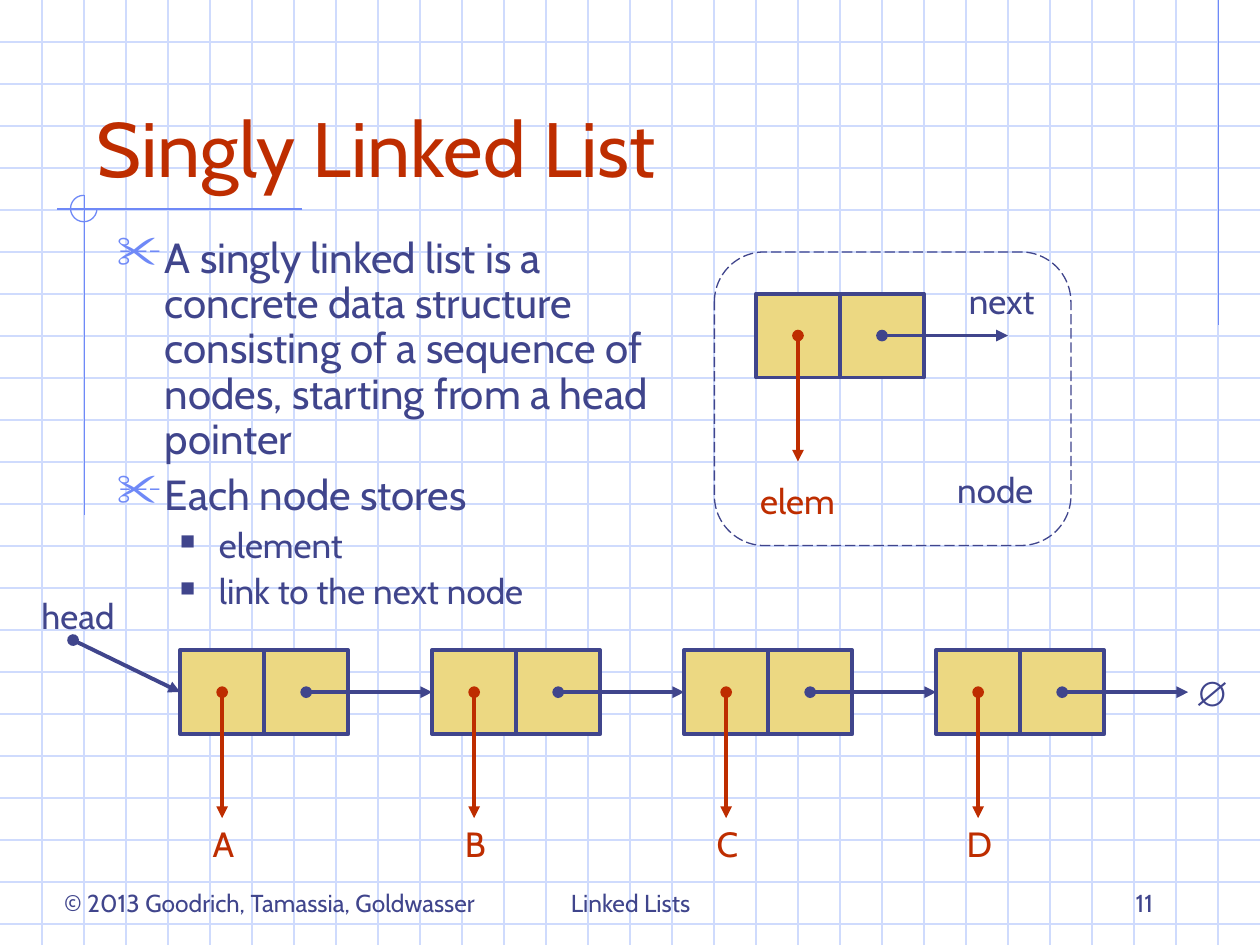
from dataclasses import dataclass
from lxml.etree import SubElement
from pptx import Presentation
from pptx.dml.color import RGBColor
from pptx.enum.dml import MSO_LINE
from pptx.enum.shapes import MSO_CONNECTOR, MSO_SHAPE
from pptx.enum.text import MSO_ANCHOR, PP_ALIGN
from pptx.oxml.ns import qn
from pptx.util import Inches, Pt


@dataclass(frozen=True)
class Theme:
    ink: str = "40458C"
    red: str = "BE2D00"
    gold: str = "ECD882"
    blue: str = "6F89F7"
    grid: str = "CFDBFD"
    font: str = "Cabin"
    sign: str = "Arial"
    title: int = 44
    body: int = 24
    label: int = 20
    foot: int = 14
    thin: float = 0.75
    bold: float = 2.25


THEME = Theme()
CELL = 2 / 3
HALF = CELL / 2


def tint(name):
    return RGBColor.from_string(name)


def style(para, size, color, font=THEME.font, bold=None):
    para.font.size = Pt(size)
    para.font.name = font
    para.font.color.rgb = tint(color)
    para.font.bold = bold


def add_line(slide, start, end, color, width=THEME.thin):
    line = slide.shapes.add_connector(
        MSO_CONNECTOR.STRAIGHT, *(Inches(v) for v in (*start, *end)))
    line.line.color.rgb = tint(color)
    line.line.width = Pt(width)
    SubElement(line.element.spPr, qn("a:effectLst"))
    return line


def add_arrow(slide, start, end, color, goal=None):
    """Dot at the start, arrowhead at the end; goal is a cell to join on its left."""
    line = add_line(slide, start, end, color, THEME.bold)
    stroke = line.element.spPr.find(qn("a:ln"))
    SubElement(stroke, qn("a:headEnd"), type="oval")
    SubElement(stroke, qn("a:tailEnd"), type="triangle")
    if goal is not None:
        line.end_connect(goal, 1)


def add_shape(slide, kind, box, color, width, fill=None):
    shape = slide.shapes.add_shape(kind, *(Inches(v) for v in box))
    shape.shadow.inherit = False
    if fill:
        shape.fill.solid()
        shape.fill.fore_color.rgb = tint(fill)
    else:
        shape.fill.background()
    shape.line.color.rgb = tint(color)
    shape.line.width = Pt(width)
    return shape


def add_text(slide, box, text, size, color, align=PP_ALIGN.CENTER,
             anchor=MSO_ANCHOR.TOP, wrap=False, font=THEME.font, bold=None):
    frame = slide.shapes.add_textbox(*(Inches(v) for v in box)).text_frame
    frame.word_wrap = wrap
    frame.vertical_anchor = anchor
    para = frame.paragraphs[0]
    para.text = text
    para.alignment = align
    style(para, size, color, font, bold)


def add_label(slide, mid, top, text, color=THEME.ink, **extra):
    add_text(slide, (mid - 0.42, top, 0.84, 0.44), text, THEME.label, color, **extra)


def add_bullet(para, mark, color, scale, left, hang):
    props = para._p.get_or_add_pPr()
    props.set("marL", str(Inches(left)))
    props.set("indent", str(-Inches(hang)))
    SubElement(SubElement(props, qn("a:buClr")), qn("a:srgbClr"), val=color)
    SubElement(props, qn("a:buSzPct"), val=str(scale * 1000))
    SubElement(props, qn("a:buChar"), char=mark)


def add_body(slide, box, items):
    frame = slide.shapes.add_textbox(*(Inches(v) for v in box)).text_frame
    frame.word_wrap = True
    for i, (level, text) in enumerate(items):
        para = frame.add_paragraph() if i else frame.paragraphs[0]
        para.text = text
        para.level = level
        para.line_spacing = 0.9
        para.space_before = Pt(6 - level if i else 0)
        if level:
            add_bullet(para, "■", THEME.ink, 60, 0.81, 0.31)
        else:
            add_bullet(para, "✂", THEME.blue, 110, 0.38, 0.38)
        style(para, THEME.label if level else THEME.body, THEME.ink)


def add_node(slide, left, top):
    """Two cells and the element arrow; returns the first cell."""
    cells = [add_shape(slide, MSO_SHAPE.RECTANGLE,
                       (left + i * CELL, top, CELL, CELL),
                       THEME.ink, THEME.bold, THEME.gold) for i in range(2)]
    mid = left + HALF, top + HALF
    add_arrow(slide, mid, (mid[0], mid[1] + 1), THEME.red)
    return cells[0]


def add_link(slide, left, top, goal=None):
    start = left + CELL + HALF, top + HALF
    add_arrow(slide, start, (start[0] + 1, start[1]), THEME.ink, goal)


def draw_back(slide):
    # Grid paper
    for i in range(1, 23):
        add_line(slide, (0, i / 3), (10, i / 3), THEME.grid)
    for i in range(1, 30):
        add_line(slide, (i / 3, 0), (i / 3, 7.5), THEME.grid)
    # Margin rules and the open ring where they cross
    add_line(slide, (9.67, 0), (9.67, 2.58), THEME.blue)
    add_line(slide, (2.4, 1.66), (0.45, 1.66), THEME.blue)
    add_line(slide, (0.67, 1.55), (0.67, 4.09), THEME.blue)
    ring = add_shape(slide, MSO_SHAPE.ARC, (0.56, 1.55, 0.21, 0.21),
                     THEME.blue, THEME.thin)
    ring.adjustments[0] = 0
    ring.adjustments[1] = 162


def draw_foot(slide):
    add_text(slide, (0.2, 7, 3.88, 0.34), "© 2013 Goodrich, Tamassia, Goldwasser",
             THEME.foot, THEME.ink)
    low = dict(anchor=MSO_ANCHOR.BOTTOM, wrap=True)
    add_text(slide, (3.42, 6.83, 3.17, 0.5), "Linked Lists",
             THEME.foot, THEME.ink, **low)
    add_text(slide, (7.17, 6.83, 2.08, 0.5), "11",
             THEME.foot, THEME.ink, PP_ALIGN.RIGHT, **low)


def draw_detail(slide):
    frame = add_shape(slide, MSO_SHAPE.ROUNDED_RECTANGLE, (5.67, 2, 2.83, 2.33),
                      THEME.ink, THEME.thin)
    frame.line.dash_style = MSO_LINE.LONG_DASH
    frame.adjustments[0] = 0.17
    add_node(slide, 6, 2.33)
    add_link(slide, 6, 2.33)
    add_label(slide, 7.95, 2.17, "next")
    add_label(slide, 6.33, 3.76, "elem", THEME.red)
    add_label(slide, 7.9, 3.67, "node")


def draw_chain(slide):
    top, names = 5.16, "ABCD"
    lefts = [1.43 + 2 * i for i in range(len(names))]
    cells = [add_node(slide, left, top) for left in lefts]
    for left, name, goal in zip(lefts, names, cells[1:] + [None]):
        add_link(slide, left, top, goal)
        add_label(slide, left + HALF + 0.01, 6.48, name, THEME.red)
    add_label(slide, 9.62, 5.28, "∅", font=THEME.sign, bold=True)
    # Head pointer
    add_arrow(slide, (0.58, 5.08), (1.43, 5.49), THEME.ink, cells[0])
    add_label(slide, 0.62, 4.67, "head")


def main():
    deck = Presentation()
    deck.slide_width, deck.slide_height = Inches(10), Inches(7.5)
    slide = deck.slides.add_slide(deck.slide_layouts[6])
    draw_back(slide)
    draw_foot(slide)
    add_text(slide, (0.67, 0.33, 8.5, 1.25), "Singly Linked List", THEME.title,
             THEME.red, PP_ALIGN.LEFT, MSO_ANCHOR.BOTTOM, True)
    add_body(slide, (0.83, 1.83, 4.5, 3.08), [
        (0, "A singly linked list is a concrete data structure consisting of "
            "a sequence of nodes, starting from a head pointer"),
        (0, "Each node stores"),
        (1, "element"),
        (1, "link to the next node"),
    ])
    draw_detail(slide)
    draw_chain(slide)
    deck.save("out.pptx")


if __name__ == "__main__":
    main()
